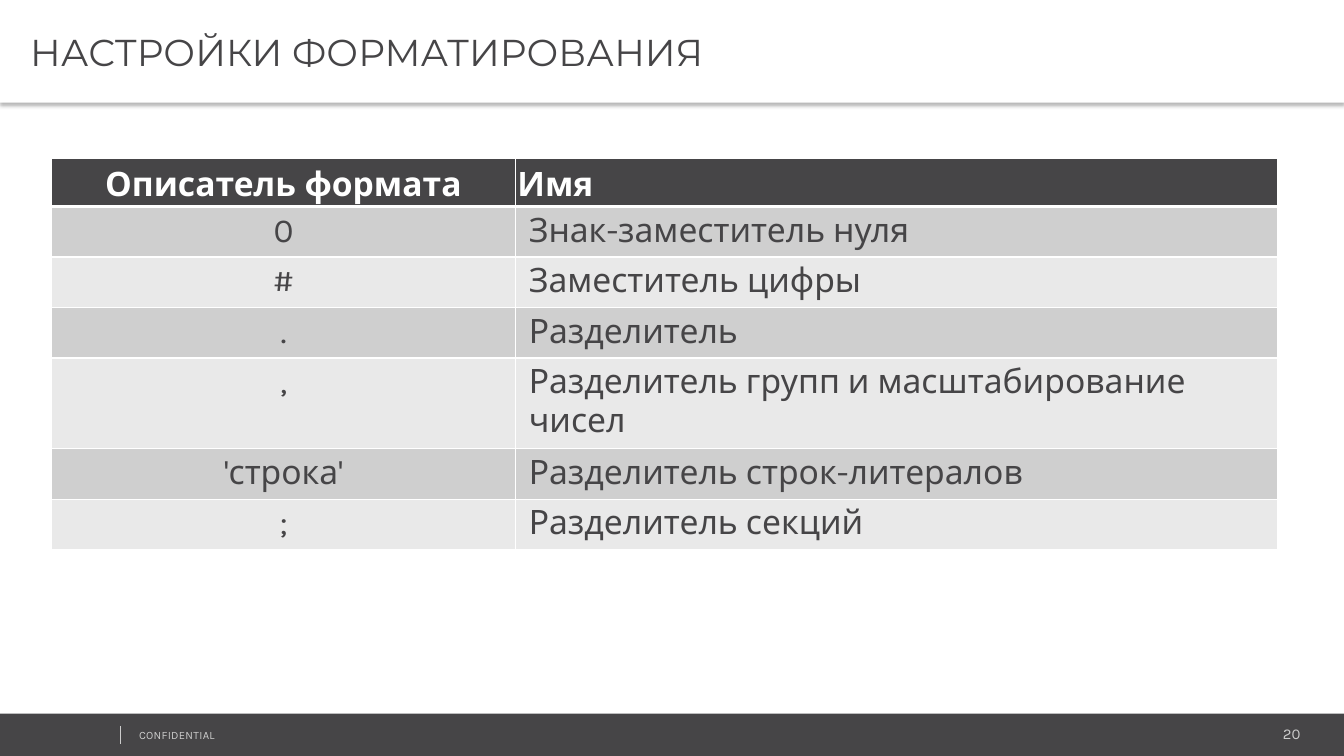
from lxml.etree import SubElement
from pptx import Presentation
from pptx.dml.color import RGBColor
from pptx.enum.shapes import MSO_CONNECTOR, MSO_SHAPE
from pptx.enum.text import MSO_ANCHOR, MSO_AUTO_SIZE, PP_ALIGN
from pptx.oxml.ns import qn
from pptx.util import Pt

DARK = RGBColor(0x46, 0x45, 0x47)
LIGHT = RGBColor(0xCC, 0xCC, 0xCC)
WHITE = RGBColor(0xFF, 0xFF, 0xFF)
BANDS = (RGBColor(0xCF, 0xCF, 0xCF), RGBColor(0xE9, 0xE9, 0xE9))
BLACK = RGBColor(0, 0, 0)

SLIDE_WIDTH, SLIDE_HEIGHT = 960, 540
COLUMN_WIDTHS = (331.2, 544.32)
ROW_HEIGHT = 29.5
FORMAT_ROWS = (
    ("Описатель формата", "Имя"),
    ("0", "Знак-заместитель нуля"),
    ("#", "Заместитель цифры"),
    (".", "Разделитель"),
    (",", "Разделитель групп и масштабирование чисел"),
    ("'строка'", "Разделитель строк-литералов"),
    (";", "Разделитель секций"),
)


def set_attributes(target, values):
    for name, value in values.items():
        setattr(target, name, value)


def add_color(parent, color):
    """Append an RGB colour element to a fill or shadow element."""
    return SubElement(parent, qn("a:srgbClr"), val=str(color))


class SlideBuilder:
    body_font = "Karla"
    title_font = "Montserrat"

    def __init__(self, presentation):
        self.slide = presentation.slides.add_slide(presentation.slide_layouts[5])
        self.shapes = self.slide.shapes

    def add_text(self, paragraph, text, size, color, alignment=PP_ALIGN.LEFT,
                 font=body_font, bold=False):
        paragraph.alignment = alignment
        run = paragraph.add_run()
        run.text = text
        set_attributes(run.font, {"name": font, "size": Pt(size), "bold": bold})
        run.font.color.rgb = color
        return run

    def title(self, text, height):
        shape = self.shapes.title
        set_attributes(shape, {"left": Pt(0), "top": Pt(0),
                               "width": Pt(SLIDE_WIDTH), "height": Pt(height)})
        shape.fill.solid()
        shape.fill.fore_color.rgb = WHITE
        shape.line.fill.background()
        set_attributes(shape.text_frame, {
            "margin_left": Pt(21.6), "margin_right": Pt(5),
            "margin_top": Pt(3), "margin_bottom": Pt(3),
            "vertical_anchor": MSO_ANCHOR.MIDDLE, "word_wrap": True,
            "auto_size": MSO_AUTO_SIZE.NONE})
        self.add_text(shape.text_frame.paragraphs[0], text, 26.7, DARK,
                      font=self.title_font)
        self.drop_shadow(shape)
        shape.element.getparent().append(shape.element)

    def drop_shadow(self, shape):
        shape.shadow.inherit = False
        effects = shape.element.spPr.find(qn("a:effectLst"))
        shadow = SubElement(effects, qn("a:outerShdw"), blurRad=str(Pt(3.1)),
                            dist=str(Pt(2)), dir="5400000", algn="t",
                            rotWithShape="0")
        SubElement(add_color(shadow, BLACK), qn("a:alpha"), val="30000")

    def bar(self, left, top, width, height, color):
        shape = self.shapes.add_shape(MSO_SHAPE.RECTANGLE, Pt(left), Pt(top),
                                      Pt(width), Pt(height))
        shape.shadow.inherit = False
        shape.fill.solid()
        shape.fill.fore_color.rgb = color
        shape.line.fill.background()

    def label(self, text, left, top, width, height, size,
              alignment=PP_ALIGN.LEFT):
        shape = self.shapes.add_textbox(Pt(left), Pt(top), Pt(width), Pt(height))
        set_attributes(shape.text_frame, {
            "word_wrap": True, "auto_size": MSO_AUTO_SIZE.SHAPE_TO_FIT_TEXT})
        return self.add_text(shape.text_frame.paragraphs[0], text, size, LIGHT,
                             alignment)

    def vertical_line(self, x, top, bottom, color, width):
        line = self.shapes.add_connector(MSO_CONNECTOR.STRAIGHT, Pt(x), Pt(top),
                                         Pt(x), Pt(bottom))
        line.line.color.rgb = color
        line.line.width = Pt(width)
        SubElement(line.element.spPr, qn("a:effectLst"))

    def table(self, rows, left, top):
        frame = self.shapes.add_table(
            len(rows), len(COLUMN_WIDTHS), Pt(left), Pt(top),
            Pt(sum(COLUMN_WIDTHS)), Pt(ROW_HEIGHT * len(rows)))
        table = frame.table
        table.horz_banding = False
        for column, width in zip(table.columns, COLUMN_WIDTHS):
            column.width = Pt(width)
        for row_index, row in enumerate(rows):
            for column_index, text in enumerate(row):
                self.cell(table.cell(row_index, column_index), text,
                          row_index, column_index)

    def cell(self, cell, text, row_index, column_index):
        header = row_index == 0
        side, edge = (1.5, 0.75) if header else (9.6, 3.6)
        set_attributes(cell, {
            "margin_left": Pt(side), "margin_right": Pt(side),
            "margin_top": Pt(edge), "margin_bottom": Pt(edge),
            "vertical_anchor": MSO_ANCHOR.MIDDLE if header else MSO_ANCHOR.TOP})
        self.borders(cell, top=3 if row_index == 1 else 1,
                     bottom=3 if header else 1)
        cell.fill.solid()
        cell.fill.fore_color.rgb = DARK if header else BANDS[(row_index - 1) % 2]
        paragraph = cell.text_frame.paragraphs[0]
        if header:
            paragraph.line_spacing = 1.15
        self.add_text(paragraph, text, 24, WHITE if header else DARK,
                      PP_ALIGN.LEFT if column_index else PP_ALIGN.CENTER,
                      bold=header)

    def borders(self, cell, top, bottom):
        properties = cell._tc.get_or_add_tcPr()
        widths = {"a:lnL": 1, "a:lnR": 1, "a:lnT": top, "a:lnB": bottom}
        for tag, width in widths.items():
            line = SubElement(properties, qn(tag), w=str(Pt(width)))
            add_color(SubElement(line, qn("a:solidFill")), WHITE)


def main():
    presentation = Presentation()
    set_attributes(presentation, {"slide_width": Pt(SLIDE_WIDTH),
                                  "slide_height": Pt(SLIDE_HEIGHT)})
    builder = SlideBuilder(presentation)
    builder.bar(0, 509.8, SLIDE_WIDTH, 30.2, DARK)
    builder.label("20", 779, 514, 157, 20, 10.7, PP_ALIGN.RIGHT)
    confidential = builder.label("CONFIDENTIAL", 92.2, 517, 243.4, 17.3, 8)
    confidential.font._element.set("spc", "20")
    builder.vertical_line(85.5, 518.4, 531.4, LIGHT, 0.25)
    builder.table(FORMAT_ROWS, 36.9, 113)
    builder.title("НАСТРОЙКИ ФОРМАТИРОВАНИЯ", 73.4)
    presentation.save("out.pptx")


if __name__ == "__main__":
    main()
